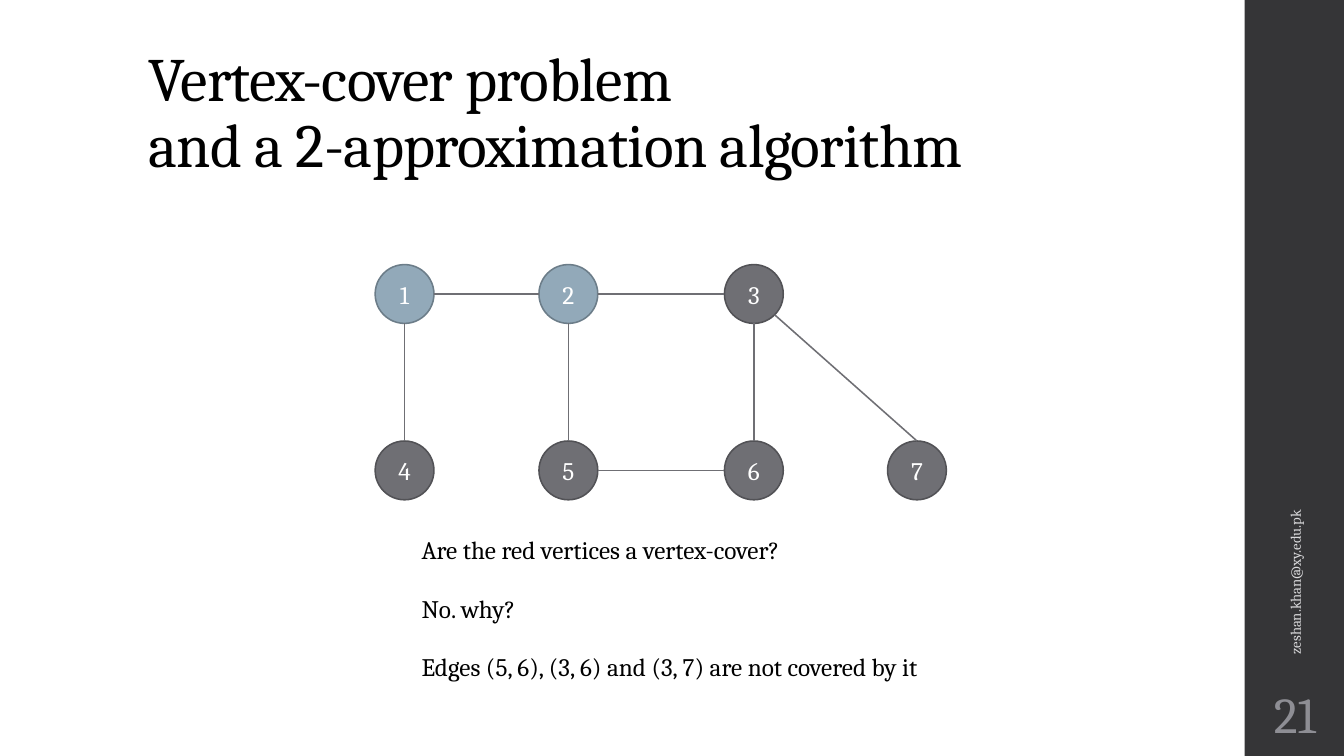
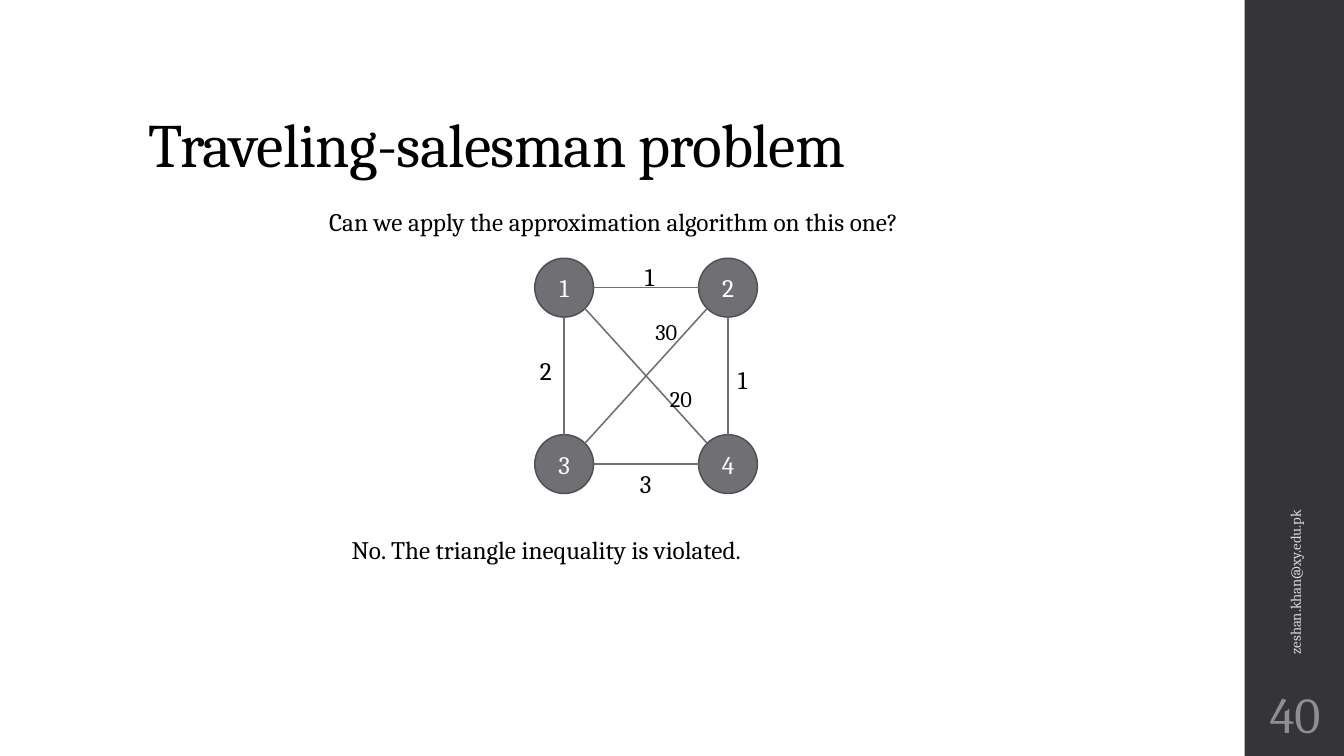
from dataclasses import dataclass, field
from math import sqrt
from typing import NamedTuple

from lxml.etree import SubElement
from pptx import Presentation
from pptx.dml.color import RGBColor
from pptx.enum.shapes import MSO_CONNECTOR as Connector, MSO_SHAPE as Preset
from pptx.enum.text import MSO_ANCHOR as Anchor, MSO_AUTO_SIZE as AutoSize, PP_ALIGN as Align
from pptx.oxml.ns import qn
from pptx.slide import Slide, SlideLayout
from pptx.text.text import TextFrame
from pptx.util import Pt

FONT = "Cambria"
COLORS = {
    "text": "000000",
    "band": "353537",
    "email": "D9D9DB",
    "number": "8E8E94",
    "node_text": "FFFFFF",
    "node": "6F6F74",
    "node_border": "525256",
    "chosen": "92A9B9",
    "chosen_border": "6C7D89",
    "edge": "6F6F74",
}
SLIDE_WIDTH, SLIDE_HEIGHT = 960, 540
BAND_LEFT, BAND_WIDTH = 889, 72
RADIUS = 21
LINE_WIDTH = 1.1
DIAGONAL = 1 / sqrt(2)
SITES = {
    "top": (0, -1),
    "left": (-1, 0),
    "bottom": (0, 1),
    "right": (1, 0),
    "top left": (-DIAGONAL, -DIAGONAL),
    "top right": (DIAGONAL, -DIAGONAL),
    "bottom left": (-DIAGONAL, DIAGONAL),
    "bottom right": (DIAGONAL, DIAGONAL),
}


class Node(NamedTuple):
    x: float
    y: float
    chosen: bool = False

    def site(self, name: str) -> tuple[float, float]:
        dx, dy = SITES[name]
        return self.x + RADIUS * dx, self.y + RADIUS * dy


class Edge(NamedTuple):
    start: int
    start_site: str
    end: int
    end_site: str


class Caption(NamedTuple):
    text: str
    left: float
    top: float
    width: float
    size: float = 18


@dataclass
class GraphSlide:
    title: str
    number: int
    nodes: dict[int, Node]
    edges: list[Edge]
    captions: list[Caption] = field(default_factory=list)


def rgb(name: str) -> RGBColor:
    return RGBColor.from_string(COLORS[name])


def write_text(frame: TextFrame, text: str, *, size: float = 18, color: str = "text",
               align: Align = Align.LEFT, anchor: Anchor = Anchor.TOP,
               margin: float | None = None, line_spacing: float | None = None,
               auto_size: AutoSize = AutoSize.NONE) -> None:
    frame.word_wrap = True
    frame.auto_size = auto_size
    frame.vertical_anchor = anchor
    if margin is not None:
        frame.margin_left = frame.margin_right = Pt(margin)
        frame.margin_top = frame.margin_bottom = Pt(margin)
    paragraph = frame.paragraphs[0]
    paragraph.text = text
    paragraph.alignment = align
    paragraph.line_spacing = line_spacing
    for run in paragraph.runs:
        run.font.name = FONT
        run.font.size = Pt(size)
        run.font.color.rgb = rgb(color)


def add_title(slide: Slide, text: str) -> None:
    title = slide.shapes.title
    write_text(title.text_frame, text, size=44, anchor=Anchor.BOTTOM, line_spacing=0.9)
    for properties in title.element.iter(qn("a:rPr")):
        properties.set("spc", "-50")


def add_node(slide: Slide, label: int, node: Node) -> None:
    circle = slide.shapes.add_shape(
        Preset.OVAL, Pt(node.x - RADIUS), Pt(node.y - RADIUS), Pt(2 * RADIUS), Pt(2 * RADIUS))
    circle.shadow.inherit = False
    kind = "chosen" if node.chosen else "node"
    circle.fill.solid()
    circle.fill.fore_color.rgb = rgb(kind)
    circle.line.color.rgb = rgb(f"{kind}_border")
    circle.line.width = Pt(LINE_WIDTH)
    write_text(circle.text_frame, str(label), color="node_text",
               align=Align.CENTER, anchor=Anchor.MIDDLE, margin=0)


def add_edge(slide: Slide, nodes: dict[int, Node], edge: Edge) -> None:
    ends = nodes[edge.start].site(edge.start_site) + nodes[edge.end].site(edge.end_site)
    line = slide.shapes.add_connector(Connector.STRAIGHT, *map(Pt, ends))
    line.line.color.rgb = rgb("edge")
    line.line.width = Pt(LINE_WIDTH)
    SubElement(line.element.find(qn("p:spPr")), qn("a:effectLst"))


def add_caption(slide: Slide, caption: Caption) -> None:
    box = slide.shapes.add_textbox(
        Pt(caption.left), Pt(caption.top), Pt(caption.width), Pt(1.2 * caption.size + 7.2))
    write_text(box.text_frame, caption.text, size=caption.size,
               auto_size=AutoSize.SHAPE_TO_FIT_TEXT)


def add_footer(slide: Slide, number: int) -> None:
    email = slide.shapes.add_textbox(Pt(784), Pt(319), Pt(282), Pt(29))
    email.rotation = 270
    write_text(email.text_frame, "zeshan.khan@xy.edu.pk", size=10.5, color="email",
               anchor=Anchor.MIDDLE)
    page = slide.shapes.add_textbox(Pt(BAND_LEFT), Pt(486), Pt(BAND_WIDTH), Pt(47))
    write_text(page.text_frame, str(number), size=36, color="number",
               align=Align.CENTER, anchor=Anchor.MIDDLE, margin=3.6)


def style_layout(layout: SlideLayout, first_slide: Slide) -> None:
    """Place the title and move a side band from the first slide to the layout."""
    title = layout.placeholders[0]
    title.left, title.top, title.width, title.height = Pt(99), Pt(29), Pt(763), Pt(104)
    band = first_slide.shapes.add_shape(
        Preset.RECTANGLE, Pt(BAND_LEFT), Pt(0), Pt(BAND_WIDTH), Pt(SLIDE_HEIGHT))
    band.shadow.inherit = False
    band.fill.solid()
    band.fill.fore_color.rgb = rgb("band")
    band.line.fill.background()
    layout.shapes.element.append(band.element)


def fill_slide(slide: Slide, content: GraphSlide) -> None:
    add_title(slide, content.title)
    add_footer(slide, content.number)
    for label, node in content.nodes.items():
        add_node(slide, label, node)
    for edge in content.edges:
        add_edge(slide, content.nodes, edge)
    for caption in content.captions:
        add_caption(slide, caption)


def vertex_cover() -> GraphSlide:
    columns = (289, 406, 538.5, 655)
    upper, lower = 210, 336
    nodes = {i: Node(x, upper, chosen=i < 3) for i, x in enumerate(columns[:3], 1)}
    nodes |= {i: Node(x, lower) for i, x in enumerate(columns, 4)}
    edges = [Edge(i, "bottom", i + 3, "top") for i in (1, 2, 3)]
    edges += [Edge(i, "right", i + 1, "left") for i in (1, 2, 5)]
    edges.append(Edge(3, "bottom right", 7, "top"))
    answers = (
        ("Are the red vertices a vertex-cover?", 300),
        ("No. why?", 300),
        ("Edges (5, 6), (3, 6) and (3, 7) are not covered by it", 414),
    )
    captions = [Caption(text, 294, 378 + 42 * i, width)
                for i, (text, width) in enumerate(answers)]
    return GraphSlide("Vertex-cover problem \vand a 2-approximation algorithm",
                      21, nodes, edges, captions)


def traveling_salesman() -> GraphSlide:
    corners = [(x, y) for y in (205.5, 331.5) for x in (403, 520)]
    nodes = {i: Node(x, y) for i, (x, y) in enumerate(corners, 1)}
    edges = [
        Edge(1, "bottom", 3, "top"),
        Edge(1, "right", 2, "left"),
        Edge(2, "bottom", 4, "top"),
        Edge(3, "right", 4, "left"),
        Edge(1, "bottom right", 4, "top left"),
        Edge(3, "top right", 2, "bottom left"),
    ]
    captions = [
        Caption("2", 378.5, 250.5, 24),
        Caption("1", 520, 257, 24),
        Caption("3", 450, 331, 24),
        Caption("30", 461, 224, 33, size=16),
        Caption("20", 471.5, 271.5, 33, size=16),
        Caption("1", 453.5, 183, 24),
        Caption("Can we apply the approximation algorithm on this one?", 228, 144, 434),
        Caption("No. The triangle inequality is violated.", 244, 378, 434),
    ]
    return GraphSlide("Traveling-salesman problem", 40, nodes, edges, captions)


def main() -> None:
    deck = Presentation()
    deck.slide_width, deck.slide_height = Pt(SLIDE_WIDTH), Pt(SLIDE_HEIGHT)
    title_only = deck.slide_layouts[5]
    contents = (vertex_cover(), traveling_salesman())
    slides = [deck.slides.add_slide(title_only) for _ in contents]
    style_layout(title_only, slides[0])
    for slide, content in zip(slides, contents):
        fill_slide(slide, content)
    deck.save("out.pptx")


if __name__ == "__main__":
    main()
